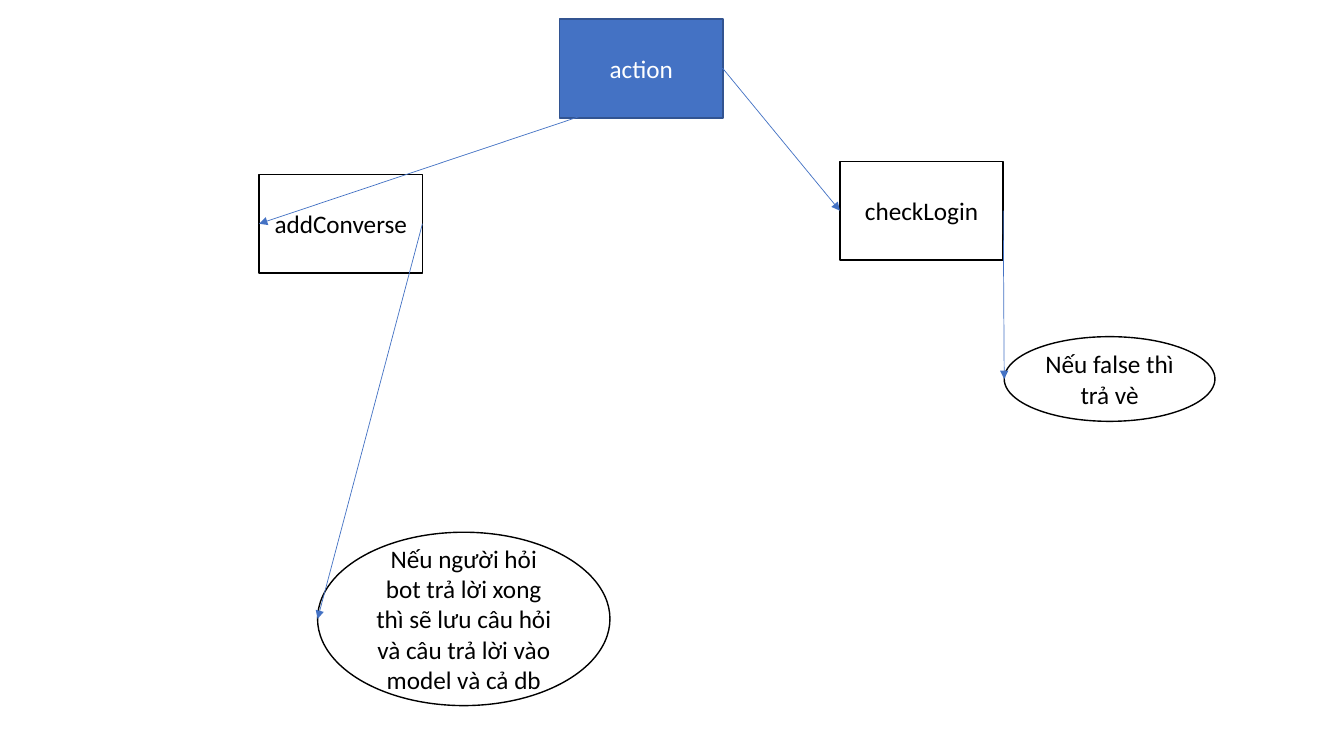
from dataclasses import dataclass

import pptx
import pptx.dml.color
import pptx.enum.shapes
import pptx.enum.text
import pptx.oxml
import pptx.oxml.ns
import pptx.util
from pptx.util import Inches

RECTANGLE = pptx.enum.shapes.MSO_SHAPE.RECTANGLE
OVAL = pptx.enum.shapes.MSO_SHAPE.OVAL
RIGHT_SITE = 3
LEFT_SITE = {RECTANGLE: 1, OVAL: 2}
BLUE = "4472C4"
BOX = (1.62, 0.98)


@dataclass(frozen=True)
class Node:
    """A labelled shape of the flow, measured in inches."""
    text: str
    left: float
    top: float
    size: tuple[float, float] = BOX
    kind: pptx.enum.shapes.MSO_SHAPE = RECTANGLE
    fill: str = "FFFFFF"
    line: str = "000000"
    font: str = "000000"


NODES = {
    "action": Node("action", 5.55, 0.19, fill=BLUE, line="325491", font="FFFFFF"),
    "login": Node("checkLogin", 8.33, 1.6),
    "return": Node("Nếu false thì trả vè", 9.96, 3.34, (2.09, 0.84), OVAL),
    "converse": Node("addConverse", 2.57, 1.73),
    "save": Node(
        "Nếu người hỏi bot trả lời xong thì sẽ lưu câu hỏi "
        "và câu trả lời vào model và cả db",
        3.15, 5.28, (2.9, 1.72), OVAL),
}
ARROWS = [("action", "login"), ("login", "return"),
          ("action", "converse"), ("converse", "save")]


def color(value: str) -> pptx.dml.color.RGBColor:
    """Turn a hex string into a colour."""
    return pptx.dml.color.RGBColor.from_string(value)


def draw_node(slide, node: Node):
    """Draw a node with its centred label and return the shape."""
    shape = slide.shapes.add_shape(
        node.kind, Inches(node.left), Inches(node.top), *map(Inches, node.size))
    shape.shadow.inherit = False
    shape.fill.solid()
    shape.fill.fore_color.rgb = color(node.fill)
    shape.line.color.rgb = color(node.line)
    shape.line.width = pptx.util.Pt(1)
    frame = shape.text_frame
    frame.word_wrap = True
    frame.vertical_anchor = pptx.enum.text.MSO_ANCHOR.MIDDLE
    paragraph = frame.paragraphs[0]
    paragraph.alignment = pptx.enum.text.PP_ALIGN.CENTER
    run = paragraph.add_run()
    run.text = node.text
    for name, value in {"name": "Calibri", "size": pptx.util.Pt(18)}.items():
        setattr(run.font, name, value)
    run.font.color.rgb = color(node.font)
    return shape


def draw_arrow(slide, source, target) -> None:
    """Connect the right side of source to the left side of target."""
    end_x, end_y = target.left, target.top + target.height // 2
    connector = slide.shapes.add_connector(
        pptx.enum.shapes.MSO_CONNECTOR.STRAIGHT,
        source.left + source.width, source.top + source.height // 2, end_x, end_y)
    connector.begin_connect(source, RIGHT_SITE)
    connector.end_connect(target, LEFT_SITE[target.auto_shape_type])
    # An oval numbers its sites differently, so the end point is set again.
    for name, value in {"end_x": end_x, "end_y": end_y}.items():
        setattr(connector, name, value)
    connector.line.color.rgb = color(BLUE)
    connector.line.width = pptx.util.Pt(0.5)
    properties = connector._element.spPr
    head = pptx.oxml.parse_xml(
        f'<a:tailEnd {pptx.oxml.ns.nsdecls("a")} type="triangle"/>')
    properties.find(pptx.oxml.ns.qn("a:ln")).append(head)
    properties.append(pptx.oxml.parse_xml(
        f'<a:effectLst {pptx.oxml.ns.nsdecls("a")}/>'))


def main() -> None:
    """Build the flow slide and save it."""
    presentation = pptx.Presentation()
    presentation.slide_width = Inches(13.33)
    presentation.slide_height = Inches(7.5)
    slide = presentation.slides.add_slide(presentation.slide_layouts[6])
    shapes = {key: draw_node(slide, node) for key, node in NODES.items()}
    for source, target in ARROWS:
        draw_arrow(slide, shapes[source], shapes[target])
    presentation.save("out.pptx")


main()
